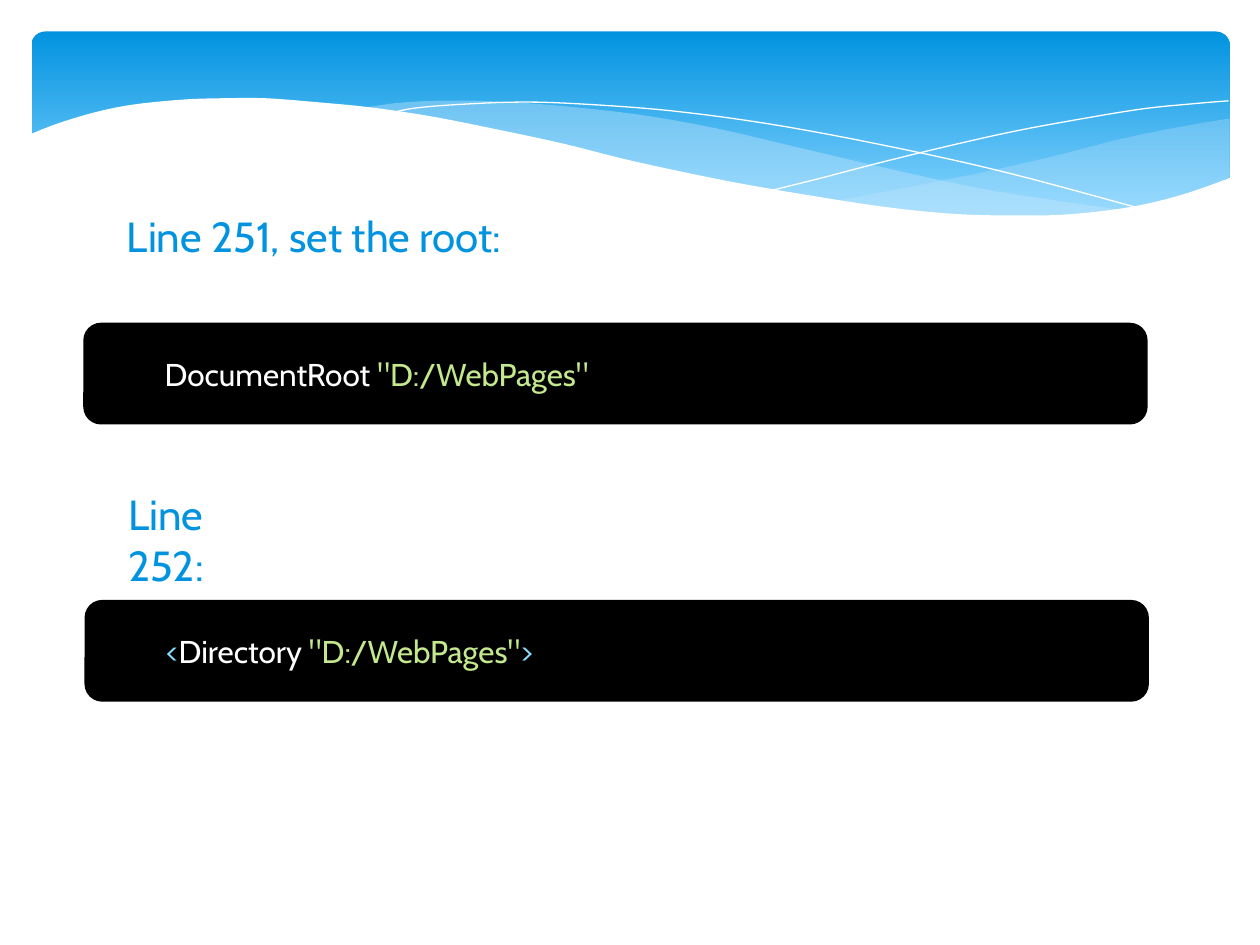
from dataclasses import dataclass

from lxml import etree
from pptx import Presentation
from pptx import util as u
from pptx.dml.color import RGBColor
from pptx.enum import shapes, text
from pptx.oxml.ns import qn


@dataclass(frozen=True)
class Theme:
    font: str = "Cabin"
    heading_size: int = 24
    code_size: int = 18
    blue: str = "0293E0"
    sky: str = "83D3FE"
    mist: str = "C6E7FC"
    white: str = "FFFFFF"
    black: str = "000000"
    string: str = "C3E88D"
    bracket: str = "89DDFF"


THEME = Theme()

RIGHT_WAVE_TOP = [(9.76, 0.94), (9.35, 1.01), (8.91, 1.1), (8.32, 1.25),
                  (7.79, 1.37), (7.29, 1.47), (6.61, 1.6)]
RIGHT_WAVE_BOTTOM = [(6.61, 1.6), (7.05, 1.65), (7.57, 1.7), (8.03, 1.72), (8.44, 1.71),
                     (8.81, 1.67), (9.21, 1.6), (9.49, 1.52), (9.76, 1.41)]
LONG_WAVE_TOP = [(8.93, 1.67), (8.37, 1.59), (7.75, 1.49), (7.06, 1.34), (6.29, 1.16),
                 (5.69, 1.02), (5.14, 0.92), (4.65, 0.86), (4.2, 0.82), (3.8, 0.8),
                 (3.44, 0.8), (3.13, 0.82), (2.86, 0.86)]
LONG_WAVE_BOTTOM = [(2.86, 0.86), (3.42, 0.94), (4.04, 1.06), (4.49, 1.16), (5.3, 1.35),
                    (6.01, 1.5), (6.65, 1.61), (7.22, 1.68), (7.73, 1.72), (8.18, 1.73),
                    (8.57, 1.71), (8.93, 1.67)]
FALLING_LINE = [(3.09, 0.9), (3.28, 0.86), (3.63, 0.83), (4.16, 0.81), (4.69, 0.83),
                (5.33, 0.88), (6.08, 0.98), (6.95, 1.14), (7.95, 1.36), (9.07, 1.66)]
RISING_LINE = [(6.13, 1.51), (6.53, 1.41), (6.95, 1.3), (7.48, 1.17), (8.06, 1.04),
               (8.66, 0.93), (9.1, 0.86), (9.51, 0.82), (9.75, 0.8)]
PAGE_EDGE = [(9.77, 1.41), (9.4, 1.54), (8.99, 1.64), (8.5, 1.7), (8.09, 1.71),
             (7.61, 1.7), (7.08, 1.65), (6.48, 1.56), (5.79, 1.44), (5.03, 1.28),
             (4.47, 1.14), (3.91, 1.02), (3.4, 0.92), (2.92, 0.85), (2.5, 0.81),
             (2.11, 0.78), (1.77, 0.78), (1.46, 0.79), (1.06, 0.83), (0.76, 0.89),
             (0.46, 0.98), (0.23, 1.07)]
PAGE_CORNERS = [(0.23, 2.24), (9.77, 2.24)]


def color(value):
    return RGBColor.from_string(value)


def smooth(points, steps=5):
    """Return a Catmull-Rom curve through the points."""
    padded = [points[0], *points, points[-1]]
    curve = []
    for a, b, c, d in zip(padded, padded[1:], padded[2:], padded[3:]):
        for step in range(steps):
            t = step / steps
            curve.append(tuple(
                q + t / 2 * (r - p + t * (2 * p - 5 * q + 4 * r - s + t * (3 * (q - r) + s - p)))
                for p, q, r, s in zip(a, b, c, d)))
    return curve + [points[-1]]


def add_outline(slide, points, close):
    start, *others = [(u.Inches(x), u.Inches(y)) for x, y in points]
    builder = slide.shapes.build_freeform(*start)
    builder.add_line_segments(others, close=close)
    shape = builder.convert_to_shape()
    shape.shadow.inherit = False
    return shape


def add_area(slide, points, fill, opacity=100):
    shape = add_outline(slide, points, close=True)
    shape.fill.solid()
    shape.fill.fore_color.rgb = color(fill)
    shape.line.fill.background()
    if opacity < 100:
        fill_color = next(shape.fill._xPr.iter(qn("a:srgbClr")))
        etree.SubElement(fill_color, qn("a:alpha"), val=str(opacity * 1000))


def add_hairline(slide, points):
    shape = add_outline(slide, smooth(points), close=False)
    shape.fill.background()
    shape.line.color.rgb = color(THEME.white)
    shape.line.width = u.Pt(0)


def add_round_box(slide, left, top, width, height):
    shape = slide.shapes.add_shape(shapes.MSO_SHAPE.ROUNDED_RECTANGLE,
                                   *map(u.Inches, (left, top, width, height)))
    shape.shadow.inherit = False
    return shape


def add_banner(slide):
    banner = add_round_box(slide, 0.25, 0.25, 9.51, 1.56)
    banner.adjustments[0] = 0.07
    banner.line.fill.background()
    banner.fill.gradient()
    banner.fill.gradient_angle = 270
    stops = zip(banner.fill.gradient_stops, (0, 0.9), (THEME.blue, THEME.sky))
    for stop, position, value in stops:
        stop.position = position
        stop.color.rgb = color(value)

    add_area(slide, smooth(RIGHT_WAVE_TOP) + smooth(RIGHT_WAVE_BOTTOM), THEME.mist, 29)
    add_area(slide, smooth(LONG_WAVE_TOP) + smooth(LONG_WAVE_BOTTOM), THEME.mist, 40)
    add_hairline(slide, FALLING_LINE)
    add_hairline(slide, RISING_LINE)
    add_area(slide, smooth(PAGE_EDGE) + PAGE_CORNERS, THEME.white)


def add_run(paragraph, words, size, value):
    run = paragraph.add_run()
    run.text = words
    run.font.name = THEME.font
    run.font.size = u.Pt(size)
    run.font.color.rgb = color(value)


def add_heading(slide, words, left, top, width, height):
    box = slide.shapes.add_textbox(*map(u.Inches, (left, top, width, height)))
    box.text_frame.word_wrap = True
    add_run(box.text_frame.paragraphs[0], words, THEME.heading_size, THEME.blue)


def add_code(slide, left, top, tokens):
    shape = add_round_box(slide, left, top, 8.43, 0.79)
    shape.fill.solid()
    shape.fill.fore_color.rgb = color(THEME.black)
    shape.line.color.rgb = color(THEME.black)
    shape.line.width = u.Pt(1.25)
    shape.text_frame.vertical_anchor = text.MSO_ANCHOR.MIDDLE
    paragraph = shape.text_frame.paragraphs[0]
    paragraph.alignment = text.PP_ALIGN.LEFT
    paragraph.level = 1
    properties = paragraph._p.get_or_add_pPr()
    properties.set("marL", str(u.Inches(0.5)))
    properties.set("indent", "0")
    for words, value in tokens:
        add_run(paragraph, words, THEME.code_size, value)


def main():
    presentation = Presentation()
    presentation.slide_width = u.Inches(10)
    presentation.slide_height = u.Inches(7.5)
    slide = presentation.slides.add_slide(presentation.slide_layouts[6])

    folder = ('"D:/WebPages"', THEME.string)
    add_banner(slide)
    add_heading(slide, "Line 251, set the root:", 0.91, 1.62, 4.33, 1.11)
    add_code(slide, 0.67, 2.57, [("DocumentRoot ", THEME.white), folder])
    add_heading(slide, "Line 252:", 0.92, 3.83, 1.4, 0.5)
    add_code(slide, 0.68, 4.77, [("<", THEME.bracket), ("Directory ", THEME.white),
                                 folder, (">", THEME.bracket)])
    presentation.save("out.pptx")


if __name__ == "__main__":
    main()
